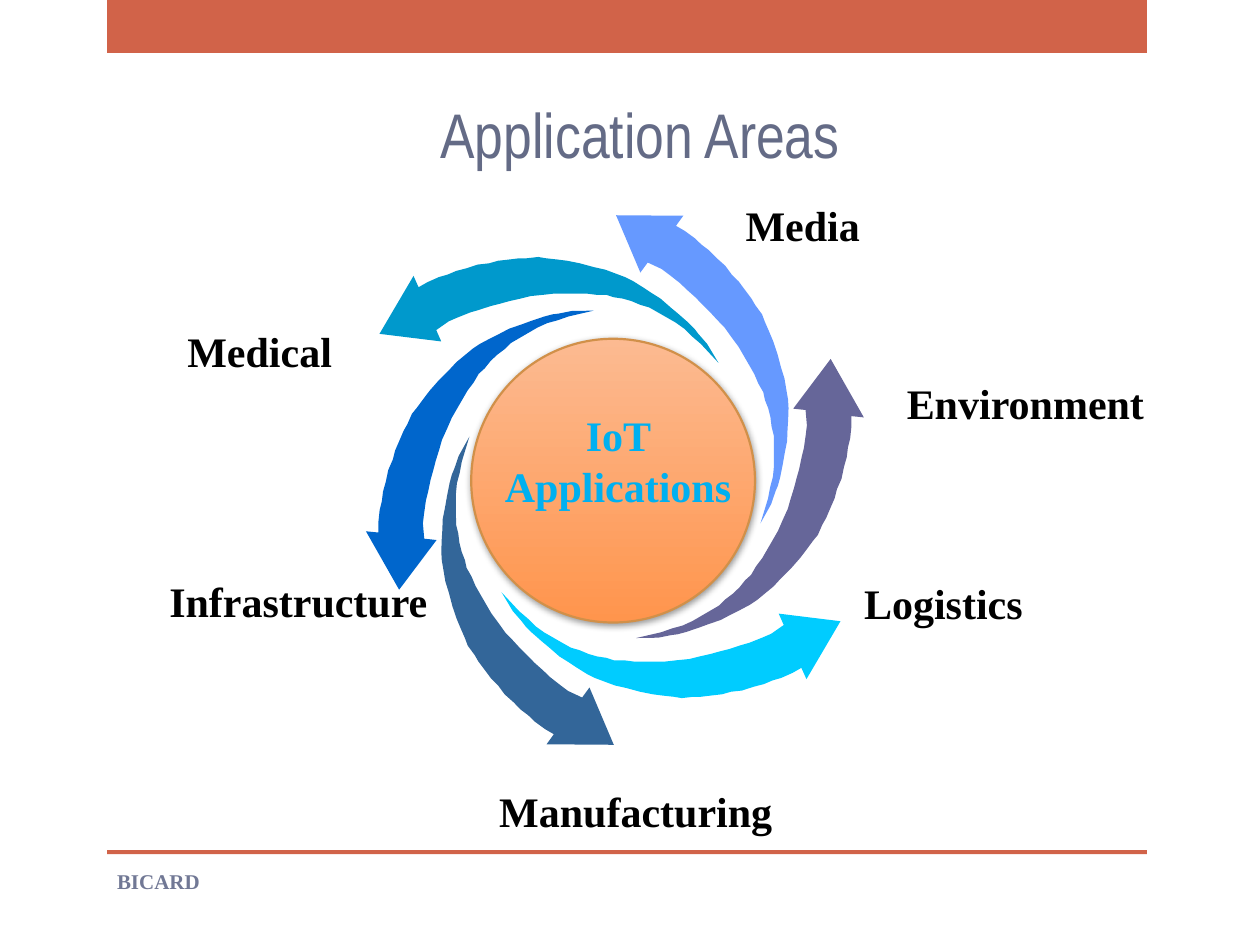
from lxml import etree
from pptx import Presentation
from pptx import util as u
from pptx.dml.color import RGBColor
from pptx.enum import shapes, text
from pptx.oxml.ns import qn

RUST = RGBColor(0xD1, 0x63, 0x49)
SLATE = RGBColor(0x64, 0x6B, 0x86)
GREY = RGBColor(0x71, 0x78, 0x95)
BLACK = RGBColor(0, 0, 0)
SKY = RGBColor(0x00, 0xB0, 0xF0)
PEACH = RGBColor(0xFC, 0xBA, 0x91)
ORANGE = RGBColor(0xFF, 0x95, 0x4D)
RIM = RGBColor(0xD1, 0x90, 0x49)

SERIF = "Times New Roman"
LEFT, MID = text.PP_ALIGN.LEFT, text.PP_ALIGN.CENTER
TOP = text.MSO_ANCHOR.TOP

# One swirl arrow, in units of UNIT: head, outer edge to the tail, inner edge back.
UNIT = u.Cm(0.0254)
HEAD = [(224, 26), (220, 17), (269, 23), (242, 69), (238, 60)]
OUTER = [
    (231, 64), (222, 68), (215, 70), (208, 73), (200, 75), (191, 78),
    (182, 79), (175, 81), (166, 82), (158, 83), (152, 83), (143, 84),
    (137, 83), (128, 82), (120, 81), (110, 79), (99, 76), (90, 74),
    (82, 71), (74, 68), (68, 65), (60, 60), (54, 56), (46, 51),
    (38, 44), (32, 39), (24, 32), (19, 27), (16, 23), (9, 15), (0, 0),
]
INNER = [
    (14, 15), (21, 21), (27, 27), (34, 32), (41, 36), (48, 40),
    (55, 44), (62, 46), (69, 49), (76, 51), (83, 52), (89, 54),
    (97, 54), (105, 55), (112, 55), (120, 55), (130, 55), (139, 54),
    (149, 53), (157, 51), (166, 49), (173, 47), (181, 45), (190, 42),
    (197, 40), (207, 36), (214, 33),
]

# Left, top and colour; each arrow is turned 60 degrees past the one before.
ARROWS = [
    (10.11, 11.94, RGBColor(0x00, 0xCC, 0xFF)),
    (6.83, 11.23, RGBColor(0x33, 0x66, 0x99)),
    (5.92, 7.62, RGBColor(0x00, 0x66, 0xCC)),
    (7.65, 5.18, RGBColor(0x00, 0x99, 0xCC)),
    (11.13, 5.99, RGBColor(0x66, 0x99, 0xFF)),
    (12.04, 9.37, RGBColor(0x66, 0x66, 0x99)),
]

# Wording, left, top, width, alignment
AREAS = [
    ("Medical", 3.51, 6.43, 3.45, MID),
    ("Infrastructure", 3.02, 11.48, 5.99, MID),
    ("Media", 14.78, 3.89, 6.78, LEFT),
    ("Environment", 18.03, 7.49, 5.33, LEFT),
    ("Logistics", 17.17, 11.51, 3.73, LEFT),
    ("Manufacturing", 9.78, 15.72, 6.07, MID),
]


def bar(slide, top, high):
    box = slide.shapes.add_shape(
        shapes.MSO_SHAPE.RECTANGLE,
        u.Cm(2.16), u.Cm(top), u.Cm(20.96), u.Cm(high))
    box.shadow.inherit = False
    box.fill.solid()
    box.fill.fore_color.rgb = RUST
    box.line.fill.background()


def label(slide, words, place, size, color, align=LEFT, face=SERIF,
          bold=True, anchor=TOP, wrap=True):
    box = slide.shapes.add_textbox(*map(u.Cm, place))
    frame = box.text_frame
    frame.text = words
    frame.word_wrap = wrap
    frame.vertical_anchor = anchor
    para = frame.paragraphs[0]
    para.alignment = align
    font = para.runs[0].font
    font.name, font.size, font.bold = face, u.Pt(size), bold
    font.color.rgb = color
    return frame


def arrow(slide, left, top, color, turn):
    path = HEAD + OUTER + INNER
    pen = slide.shapes.build_freeform(*path[0], scale=UNIT)
    pen.add_line_segments(path[1:], close=True)
    swirl = pen.convert_to_shape(u.Cm(left), u.Cm(top))
    swirl.rotation = turn
    swirl.shadow.inherit = False
    swirl.fill.solid()
    swirl.fill.fore_color.rgb = color
    swirl.line.fill.background()


def shade(shape):
    """Give the shape a soft shadow just below it."""
    shape.shadow.inherit = False
    effects = shape._element.spPr.find(qn("a:effectLst"))
    outer = etree.SubElement(
        effects, qn("a:outerShdw"), blurRad=str(u.Pt(4)),
        dist=str(u.Pt(1)), dir="5280000", rotWithShape="0")
    color = etree.SubElement(outer, qn("a:srgbClr"), val="000000")
    etree.SubElement(color, qn("a:alpha"), val="40000")


def disc(slide):
    hub = slide.shapes.add_shape(
        shapes.MSO_SHAPE.OVAL,
        u.Cm(9.5), u.Cm(6.83), u.Cm(5.72), u.Cm(5.72))
    hub.fill.gradient()
    hub.fill.gradient_angle = 270
    for stop, color, spot in zip(hub.fill.gradient_stops, (PEACH, ORANGE), (0, 1)):
        stop.color.rgb = color
        stop.position = spot
    hub.line.color.rgb = RIM
    hub.line.width = u.Pt(1.25)
    shade(hub)


def main():
    deck = Presentation()
    deck.slide_width, deck.slide_height = u.Cm(25.4), u.Cm(19.05)
    slide = deck.slides.add_slide(deck.slide_layouts[6])

    bar(slide, 0, 1.07)
    bar(slide, 17.14, 0.08)
    label(slide, "Application Areas", (3.48, 1.24, 18.85, 2.34), 36, SLATE,
          MID, "Arial Narrow", False, text.MSO_ANCHOR.BOTTOM)
    label(slide, "BICARD", (2.11, 17.25, 13.54, 1.02), 12, GREY,
          anchor=text.MSO_ANCHOR.MIDDLE)

    for step, (left, top, color) in enumerate(ARROWS):
        arrow(slide, left, top, color, 60 * step)
    disc(slide)

    for words, left, top, wide, align in AREAS:
        label(slide, words, (left, top, wide, 1.27), 24, BLACK, align,
              wrap=False)
    core = label(slide, "IoT Applications", (9.68, 8.26, 5.56, 2.31), 24,
                 SKY, MID)
    core.margin_left = core.margin_right = core.margin_top = 0
    core.margin_bottom = u.Cm(0.25)

    deck.save("out.pptx")


if __name__ == "__main__":
    main()
